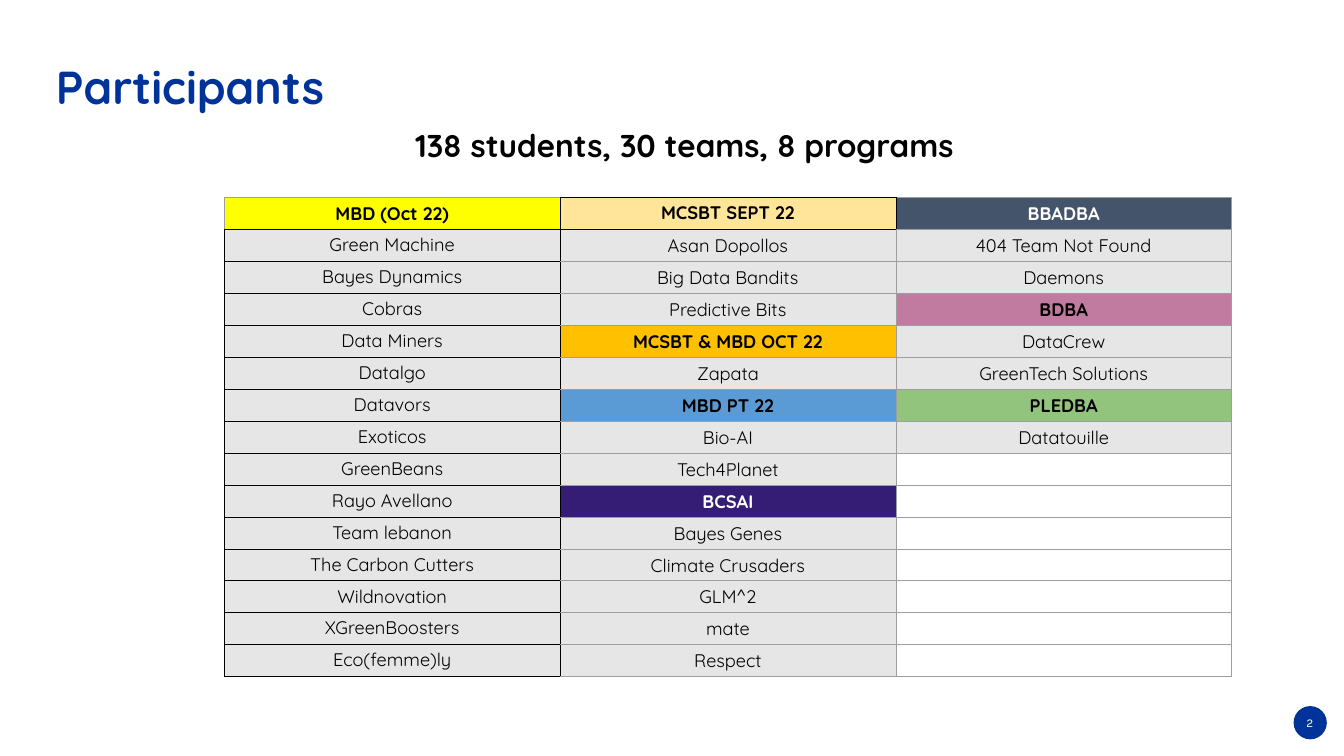
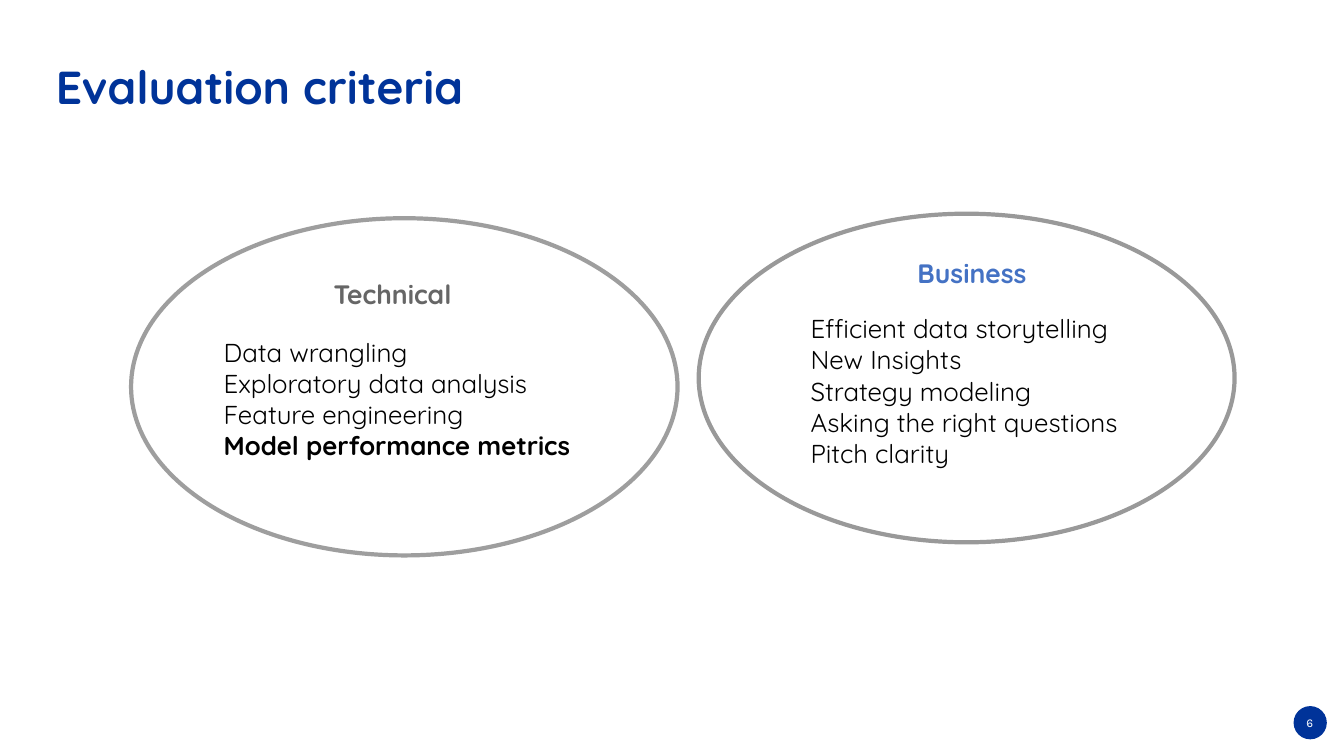
import pptx
import pptx.dml.color
import pptx.enum.shapes
import pptx.enum.text
import pptx.oxml
import pptx.oxml.ns
import pptx.util

RGB = pptx.dml.color.RGBColor
ALIGN = pptx.enum.text.PP_ALIGN
ANCHOR = pptx.enum.text.MSO_ANCHOR
AUTOSIZE = pptx.enum.text.MSO_AUTO_SIZE

BLUE = RGB(0x00, 0x33, 0x99)
SKY = RGB(0x44, 0x72, 0xC4)
WHITE = RGB(0xFF, 0xFF, 0xFF)
BLACK = RGB(0x00, 0x00, 0x00)
DARK_GREY = RGB(0x66, 0x66, 0x66)
MID_GREY = RGB(0x99, 0x99, 0x99)
LINE_GREY = RGB(0x9E, 0x9E, 0x9E)
TEAM_GREY = RGB(0xE7, 0xE6, 0xE6)

# Fill and text colour of each program's heading cell
PROGRAMS = {
    "MBD (Oct 22)": (RGB(0xFF, 0xFF, 0x00), BLACK),
    "MCSBT SEPT 22": (RGB(0xFF, 0xE5, 0x99), BLACK),
    "BBADBA": (RGB(0x44, 0x54, 0x6A), WHITE),
    "BDBA": (RGB(0xC2, 0x7B, 0xA0), BLACK),
    "MCSBT & MBD OCT 22": (RGB(0xFF, 0xC0, 0x00), BLACK),
    "MBD PT 22": (RGB(0x5B, 0x9B, 0xD5), BLACK),
    "PLEDBA": (RGB(0x93, 0xC4, 0x7D), BLACK),
    "BCSAI": (RGB(0x35, 0x1C, 0x75), WHITE),
}

TEAM_COLUMNS = [
    ["MBD (Oct 22)", "Green Machine", "Bayes Dynamics", "Cobras",
     "Data Miners", "Datalgo", "Datavors", "Exoticos", "GreenBeans",
     "Rayo Avellano", "Team lebanon", "The Carbon Cutters", "Wildnovation",
     "XGreenBoosters", "Eco(femme)ly"],
    ["MCSBT SEPT 22", "Asan Dopollos", "Big Data Bandits", "Predictive Bits",
     "MCSBT & MBD OCT 22", "Zapata", "MBD PT 22", "Bio-AI", "Tech4Planet",
     "BCSAI", "Bayes Genes", "Climate Crusaders", "GLM^2", "mate", "Respect"],
    ["BBADBA", "404 Team Not Found", "Daemons", "BDBA", "DataCrew",
     "GreenTech Solutions", "PLEDBA", "Datatouille"],
]


def px(n):
    return pptx.util.Emu(n * 9144)


def is_tight(row, col):
    """Tell whether a cell has narrow margins, bottom text and a black frame."""
    return (col == 0 and row > 0) or (row, col) == (0, 1)


class Deck:
    font = "Quicksand"

    def __init__(self):
        self.prs = pptx.Presentation()
        self.prs.slide_width, self.prs.slide_height = px(2666), px(1500)
        self.slide = None

    def add_slide(self, title, number):
        self.slide = self.prs.slides.add_slide(self.prs.slide_layouts[5])
        self.ellipse((2566, 1401, 66, 66), fill=BLUE)
        self.text((2565, 1412, 66, 44), [str(number)], 17, WHITE, font="Karla",
                  align=ALIGN.CENTER, margins=(15, 7, 15, 7))
        sp = self.slide.shapes.title
        self.place(sp, (101, 111, 2534, 111))
        tf = sp.text_frame
        tf.auto_size = AUTOSIZE.NONE
        self.frame(tf, (10, 5, 10, 5))
        self.run(tf.paragraphs[0], title, 66, BLUE, bold=True)

    def place(self, sp, box):
        sp.left, sp.top, sp.width, sp.height = map(px, box)

    def frame(self, tf, margins):
        tf.word_wrap = True
        tf.vertical_anchor = ANCHOR.TOP
        (tf.margin_left, tf.margin_top,
         tf.margin_right, tf.margin_bottom) = map(px, margins)

    def run(self, p, text, size, color, bold=False, font=None,
            align=ALIGN.LEFT):
        p.alignment = align
        r = p.add_run()
        r.text = text
        r.font.name = font or self.font
        r.font.size = pptx.util.Pt(size)
        r.font.bold = bold
        r.font.color.rgb = color

    def text(self, box, lines, size, color, bold=(), margins=(10,) * 4,
             **style):
        """Add one paragraph per line; those listed in bold are set bold."""
        tf = self.slide.shapes.add_textbox(*map(px, box)).text_frame
        self.frame(tf, margins)
        tf.auto_size = AUTOSIZE.SHAPE_TO_FIT_TEXT
        for i, line in enumerate(lines):
            p = tf.add_paragraph() if i else tf.paragraphs[0]
            self.run(p, line, size, color, bold=line in bold, **style)

    def heading(self, box, text, size, color):
        self.text(box, [text], size, color, bold=[text])

    def ellipse(self, box, fill=None, line=None):
        sp = self.slide.shapes.add_shape(
            pptx.enum.shapes.MSO_SHAPE.OVAL, *map(px, box))
        sp.shadow.inherit = False
        if fill is None:
            sp.fill.background()
        else:
            sp.fill.solid()
            sp.fill.fore_color.rgb = fill
        if line is None:
            sp.line.fill.background()
        else:
            sp.line.color.rgb = line
            sp.line.width = pptx.util.Pt(6)

    def border(self, cell, side, color):
        cell._tc.get_or_add_tcPr().append(pptx.oxml.parse_xml(
            f'<a:ln{side} {pptx.oxml.ns.nsdecls("a")} w="9525"><a:solidFill>'
            f'<a:srgbClr val="{color}"/></a:solidFill></a:ln{side}>'))

    def team_cell(self, cell, row, col, text):
        tight = is_tight(row, col)
        neighbours = {"L": (row, col - 1), "R": (row, col + 1),
                      "T": (row - 1, col), "B": (row + 1, col)}
        for side, (r, c) in neighbours.items():
            inside = r >= 0 and c >= 0
            black = tight or (inside and is_tight(r, c))
            self.border(cell, side, BLACK if black else LINE_GREY)
        edge = px(1 if tight else 10)
        cell.margin_left = cell.margin_top = cell.margin_right = edge
        cell.margin_bottom = px(10)
        cell.vertical_anchor = ANCHOR.BOTTOM if tight else ANCHOR.TOP
        if not text:
            cell.fill.background()
            return
        fill, color = PROGRAMS.get(text, (TEAM_GREY, BLACK))
        cell.fill.solid()
        cell.fill.fore_color.rgb = fill
        self.run(cell.text_frame.paragraphs[0], text, 26, color,
                 bold=text in PROGRAMS, align=ALIGN.CENTER)

    def team_table(self, left, top, col_width, row_height, columns):
        n_rows, n_cols = max(map(len, columns)), len(columns)
        table = self.slide.shapes.add_table(
            n_rows, n_cols, px(left), px(top), px(col_width * n_cols),
            px(row_height * n_rows)).table
        table.first_row = table.horz_banding = False
        for col, names in enumerate(columns):
            for row in range(n_rows):
                text = names[row] if row < len(names) else ""
                self.team_cell(table.cell(row, col), row, col, text)


def main():
    deck = Deck()

    deck.add_slide("Participants", 2)
    deck.team_table(445, 392, 666, 60, TEAM_COLUMNS)
    deck.heading((814, 241, 1607, 96), "138 students, 30 teams, 8 programs",
                 45, BLACK)

    deck.add_slide("Evaluation criteria", 6)
    deck.ellipse((1386, 424, 1063, 652), line=MID_GREY)
    deck.ellipse((260, 433, 1084, 669), line=LINE_GREY)
    deck.heading((652, 541, 498, 84), "Technical", 38, DARK_GREY)
    deck.text((1598, 611, 793, 332),
              ["Efficient data storytelling", "New Insights",
               "Strategy modeling", "Asking the right questions",
               "Pitch clarity"], 37, BLACK)
    deck.heading((1810, 500, 274, 84), "Business", 38, SKY)
    deck.text((434, 658, 793, 269),
              ["Data wrangling", "Exploratory data analysis",
               "Feature engineering", "Model performance metrics"],
              37, BLACK, bold=["Model performance metrics"])

    deck.prs.save("out.pptx")


if __name__ == "__main__":
    main()
